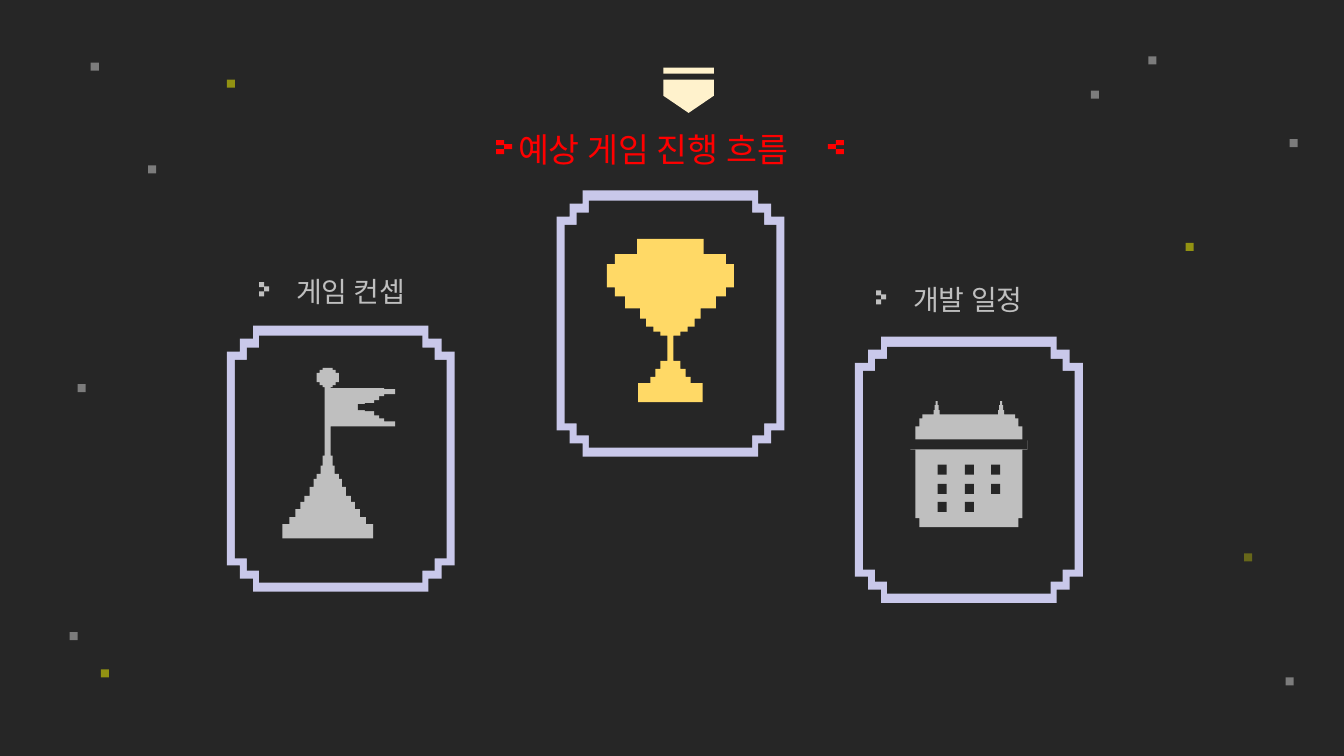
import dataclasses

import lxml.etree
import pptx
import pptx.dml.color
import pptx.enum.shapes
import pptx.enum.text
import pptx.oxml.ns
import pptx.util

CM_PER_UNIT = 2.54


@dataclasses.dataclass(frozen=True)
class Theme:
    background: str = "262626"
    frame: str = "C9C8EA"
    icon: str = "BFBFBF"
    trophy: str = "FFD966"
    badge: str = "FFF2CC"
    highlight: str = "FF0000"
    star: str = "FFFFFF"
    bright_star: str = "FFFF00"
    font: str = "Noto Sans CJK KR"
    title_size: int = 24
    label_size: int = 20


def length(units):
    return pptx.util.Cm(units * CM_PER_UNIT)


def color(code):
    return pptx.dml.color.RGBColor.from_string(code)


def write(paragraph, text, *, size, code, font, align):
    paragraph.alignment = align
    run = paragraph.add_run()
    run.text = text
    run.font.size = pptx.util.Pt(size)
    run.font.name = font
    run.font.color.rgb = color(code)
    east_asian = lxml.etree.SubElement(run.font._element, pptx.oxml.ns.qn("a:ea"))
    east_asian.set("typeface", font)


def rectangle(left, top, width, height):
    right, bottom = left + width, top + height
    return [(left, top), (right, top), (right, bottom), (left, bottom)]


def mirrored(axis, bands, bottom):
    ends = [top for top, half in bands[1:]] + [bottom]
    side = [(half, y) for (top, half), end in zip(bands, ends) for y in (top, end)]
    right = [(axis + half, y) for half, y in side]
    left = [(axis - half, y) for half, y in reversed(side)]
    return right + left


def notched(axis, top, height, half, step):
    bottom = top + height
    bands = [
        (top, half - 2 * step),
        (top + step, half - step),
        (top + 2 * step, half),
        (bottom - 2 * step, half - step),
        (bottom - step, half - 2 * step),
    ]
    return mirrored(axis, bands, bottom)


class PixelSlide:
    """Draw pixel-art elements on one slide in a shared theme."""

    def __init__(self, slide, theme):
        self.slide = slide
        self.theme = theme
        self.shapes = slide.shapes
        slide.background.fill.solid()
        slide.background.fill.fore_color.rgb = color(theme.background)

    def start_group(self):
        self.shapes = self.slide.shapes.add_group_shape().shapes

    def end_group(self):
        self.shapes = self.slide.shapes

    def paint(self, shape, code, opacity=100):
        shape.shadow.inherit = False
        shape.fill.solid()
        shape.fill.fore_color.rgb = color(code)
        shape.line.fill.background()
        if opacity < 100:
            solid = shape.fill._xPr.find(pptx.oxml.ns.qn("a:solidFill"))
            alpha = lxml.etree.SubElement(solid[0], pptx.oxml.ns.qn("a:alpha"))
            alpha.set("val", str(opacity * 1000))

    def block(self, left, top, width, height, code, opacity=100):
        shape = self.shapes.add_shape(
            pptx.enum.shapes.MSO_SHAPE.RECTANGLE,
            length(left), length(top), length(width), length(height),
        )
        self.paint(shape, code, opacity)

    def outline(self, contours, code):
        contours = [[(length(x), length(y)) for x, y in contour] for contour in contours]
        builder = self.shapes.build_freeform(*contours[0][0])
        builder.add_line_segments(contours[0][1:])
        for contour in contours[1:]:
            builder.move_to(*contour[0])
            builder.add_line_segments(contour[1:])
        self.paint(builder.convert_to_shape(), code)

    def text(self, text, left, top, width, height, size, code, align):
        box = self.shapes.add_textbox(length(left), length(top), length(width), length(height))
        box.text_frame.word_wrap = True
        write(box.text_frame.paragraphs[0], text, size=size, code=code,
              font=self.theme.font, align=align)

    def arrow(self, tail, top, width, direction, code):
        for left, offset in ((tail + direction * width, 0.04), (tail, 0), (tail, 0.09)):
            self.block(left, top + offset, width, 0.05, code)

    def label(self, text, left, top):
        self.start_group()
        self.text(text, left, top, 1.42, 0.44, self.theme.label_size, self.theme.icon,
                  pptx.enum.text.PP_ALIGN.CENTER)
        self.arrow(left - 0.2, top + 0.13, 0.05, 1, self.theme.icon)
        self.end_group()

    def title(self, text):
        self.start_group()
        self.text(text, 5.04, 1.23, 3.25, 0.5, self.theme.title_size, self.theme.highlight,
                  pptx.enum.text.PP_ALIGN.LEFT)
        for tail, direction in ((4.92, 1), (8.29, -1)):
            self.arrow(tail, 1.39, 0.08, direction, self.theme.highlight)
        self.end_group()

    def frame(self, axis, top):
        self.outline([notched(axis, top, 2.64, 1.13, 0.13)], self.theme.frame)
        self.outline([notched(axis, top + 0.1, 2.45, 1.05, 0.12)], self.theme.background)

    def stars(self):
        self.start_group()
        for left, top in ((1.47, 1.64), (11.39, 0.56), (10.82, 0.9), (0.69, 6.27),
                          (12.75, 6.72), (0.9, 0.62), (0.77, 3.81), (12.79, 1.38)):
            self.block(left, top, 0.08, 0.08, self.theme.star, 40)
        for left, top, opacity in ((2.25, 0.79, 50), (11.76, 2.41, 50),
                                   (1, 6.64, 50), (12.34, 5.49, 30)):
            self.block(left, top, 0.08, 0.08, self.theme.bright_star, opacity)
        self.end_group()

    def badge(self):
        shield = [(6.58, 0.79), (7.08, 0.79), (7.08, 0.95), (6.83, 1.12), (6.58, 0.95)]
        self.outline([shield, rectangle(6.58, 0.67, 0.5, 0.06)], self.theme.badge)

    def flag_card(self):
        self.start_group()
        self.frame(3.38, 3.23)
        ball = mirrored(3.25, [(3.65, 0.05), (3.67, 0.08), (3.7, 0.11),
                               (3.79, 0.08), (3.82, 0.05)], 3.84)
        hill = mirrored(3.25, [(3.84, 0.03), (4.52, 0.05), (4.62, 0.07), (4.7, 0.11),
                               (4.75, 0.14), (4.83, 0.18), (4.92, 0.23), (4.98, 0.27),
                               (5.05, 0.32), (5.13, 0.38), (5.2, 0.45)], 5.34)
        banner = [(3.28, 3.85), (3.81, 3.85), (3.81, 3.86), (3.92, 3.86), (3.92, 3.91),
                  (3.81, 3.91), (3.81, 3.93), (3.76, 3.93), (3.76, 3.97), (3.71, 3.97),
                  (3.71, 4.12), (3.76, 4.12), (3.76, 4.15), (3.81, 4.15), (3.81, 4.18),
                  (3.92, 4.18), (3.92, 4.23), (3.28, 4.23)]
        self.outline([ball, hill, banner], self.theme.icon)
        self.block(3.55, 4.01, 0.22, 0.06, self.theme.background)
        self.block(3.62, 4, 0.35, 0.08, self.theme.background)
        self.end_group()

    def trophy_card(self):
        self.start_group()
        self.frame(6.65, 1.89)
        cup = mirrored(6.65, [(2.37, 0.33), (2.52, 0.55), (2.62, 0.63), (2.85, 0.55),
                              (2.94, 0.45), (3.06, 0.3), (3.16, 0.24), (3.24, 0.17),
                              (3.29, 0.1), (3.33, 0.03), (3.58, 0.1), (3.66, 0.15),
                              (3.74, 0.2), (3.8, 0.32)], 3.99)
        self.outline([cup], self.theme.trophy)
        self.end_group()

    def calendar_card(self):
        self.start_group()
        self.frame(9.61, 3.34)
        pegs = [mirrored(axis, [(3.98, 0.01), (4.02, 0.02), (4.07, 0.03)], 4.11)
                for axis in (9.29, 9.93)]
        page = mirrored(9.61, [(4.11, 0.46), (4.15, 0.49), (4.23, 0.53), (4.37, 0.58),
                               (4.46, 0.53), (5.14, 0.49)], 5.23)
        self.outline([page, *pegs], self.theme.icon)
        days = [(left, top) for top in (4.61, 4.8, 4.98) for left in (9.3, 9.57, 9.83)]
        for left, top in days[:-1]:
            self.block(left, top, 0.09, 0.1, self.theme.background)
        self.block(9.02, 4.36, 1.17, 0.1, self.theme.background)
        self.end_group()


def main():
    presentation = pptx.Presentation()
    presentation.slide_width = length(13.33)
    presentation.slide_height = length(7.5)
    slide = presentation.slides.add_slide(presentation.slide_layouts[6])
    menu = PixelSlide(slide, Theme())
    menu.stars()
    menu.badge()
    menu.label("게임 컨셉", 2.77, 2.67)
    menu.title("예상 게임 진행 흐름")
    menu.label("개발 일정", 8.89, 2.75)
    menu.flag_card()
    menu.trophy_card()
    menu.calendar_card()
    presentation.save("out.pptx")


if __name__ == "__main__":
    main()
